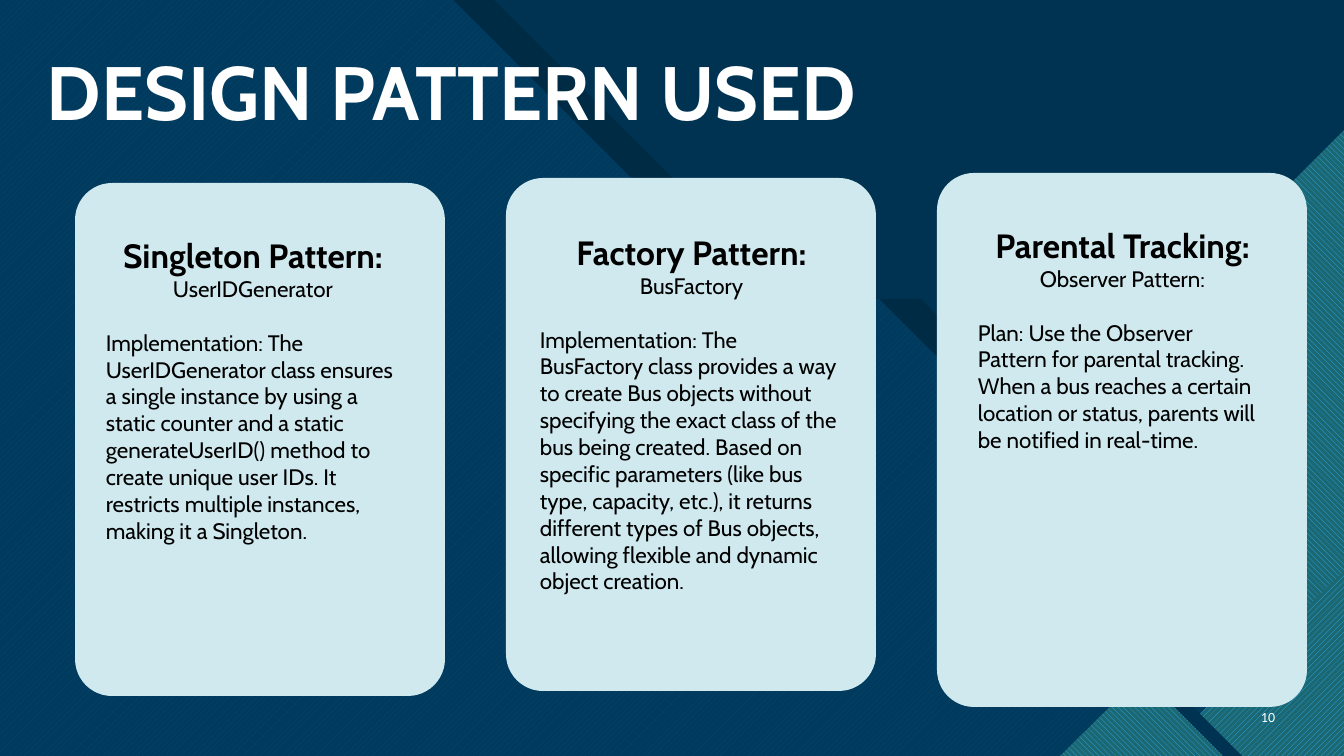
import pptx
import pptx.dml.color
import pptx.enum.dml
import pptx.enum.shapes
import pptx.enum.text
import pptx.util
from dataclasses import dataclass
from lxml import etree

ALIGN = pptx.enum.text.PP_ALIGN
ANCHOR = pptx.enum.text.MSO_ANCHOR
PATTERN = pptx.enum.dml.MSO_PATTERN
WIDTH, HEIGHT = 1344, 756
SCALE = 12192000 / WIDTH  # EMU per px


@dataclass(frozen=True)
class Theme:
    navy: str = "003352"
    blue: str = "0065A4"
    cyan: str = "47C3D3"
    sky: str = "2FAFFF"
    teal: str = "1B6872"
    black: str = "000000"
    white: str = "FFFFFF"
    card: str = "CFE9EF"
    font: str = "Cabin"
    number_font: str = "Calibri"
    title_size: int = 54
    heading_size: int = 24
    body_size: int = 16
    number_size: int = 10


THEME = Theme()

# Backdrop: outline, fill (one colour, or pattern with two colours), opacity in %
BANDS = [
    ([(0, 0), (494, 0), (794, 299), (921, 299), (1344, 723), (1344, 756), (0, 756)],
     THEME.black, 100),
    ([(0, 0), (453, 0), (752, 299), (879, 299), (1336, 756), (0, 756)],
     (PATTERN.WIDE_UPWARD_DIAGONAL, THEME.cyan, THEME.blue), 100),
    ([(0, 0), (701, 0), (1000, 299), (1127, 299), (1344, 517), (1344, 756), (0, 756)],
     THEME.navy, 85),
    ([(1344, 156), (1344, 714), (1230, 714), (1008, 492)], THEME.navy, 100),
    ([(1344, 130), (1344, 743), (1315, 743), (1023, 451)],
     (PATTERN.WIDE_DOWNWARD_DIAGONAL, THEME.sky, THEME.teal), 100),
    ([(1344, 619), (1344, 756), (1207, 756)], THEME.navy, 100),
    ([(1344, 571), (1344, 756), (1158, 756)],
     (PATTERN.WIDE_UPWARD_DIAGONAL, THEME.sky, THEME.teal), 100),
    ([(1242, 756), (1160, 674), (1078, 756)], THEME.navy, 100),
    ([(1060, 756), (1142, 675), (1223, 756)],
     (PATTERN.WIDE_DOWNWARD_DIAGONAL, THEME.sky, THEME.teal), 100),
]

# Cards: card height, text box, heading, class or pattern, explanation
CARDS = [
    (513, (96, 230, 314, 350), "Singleton Pattern:", "UserIDGenerator",
     "Implementation: The UserIDGenerator class ensures a single instance by using a "
     "static counter and a static generateUserID() method to create unique user IDs. "
     "It restricts multiple instances, making it a Singleton."),
    (513, (530, 227, 323, 403), "Factory Pattern:", "BusFactory",
     "Implementation: The BusFactory class provides a way to create Bus objects without "
     "specifying the exact class of the bus being created. Based on specific parameters "
     "(like bus type, capacity, etc.), it returns different types of Bus objects, "
     "allowing flexible and dynamic object creation."),
    (534, (968, 220, 309, 268), "Parental Tracking:", "Observer Pattern:",
     "Plan: Use the Observer Pattern for parental tracking. When a bus reaches a certain "
     "location or status, parents will be notified in real-time."),
]


def px(value):
    return pptx.util.Emu(round(value * SCALE))


def rgb(value):
    return pptx.dml.color.RGBColor.from_string(value)


def set_values(target, values):
    for name, value in values.items():
        setattr(target, name, value)


def paint(shape, fill, opacity=100):
    shape.shadow.inherit = False
    shape.line.fill.background()
    if isinstance(fill, tuple):
        pattern, front, back = fill
        shape.fill.patterned()
        shape.fill.pattern = pattern
        shape.fill.fore_color.rgb = rgb(front)
        shape.fill.back_color.rgb = rgb(back)
        return
    shape.fill.solid()
    shape.fill.fore_color.rgb = rgb(fill)
    if opacity < 100:
        colour = next(shape.element.spPr.iter(pptx.oxml.ns.qn("a:srgbClr")))
        alpha = etree.SubElement(colour, pptx.oxml.ns.qn("a:alpha"))
        alpha.set("val", str(opacity * 1000))


def add_band(page, points, fill, opacity):
    builder = page.shapes.build_freeform(*points[0], scale=SCALE)
    builder.add_line_segments(points[1:], close=True)
    paint(builder.convert_to_shape(), fill, opacity)


def add_card(page, left, top, height):
    card = page.shapes.add_shape(pptx.enum.shapes.MSO_SHAPE.ROUNDED_RECTANGLE,
                                 px(left), px(top), px(370), px(height))
    card.adjustments[0] = 0.1
    paint(card, THEME.card)


def add_text(page, place, paragraphs, anchor=ANCHOR.TOP):
    """Each paragraph is its text, its font values and its paragraph values."""
    box = page.shapes.add_textbox(*map(px, place))
    frame = box.text_frame
    set_values(frame, {"word_wrap": True, "vertical_anchor": anchor})
    for index, (text, font, layout) in enumerate(paragraphs):
        para = frame.add_paragraph() if index else frame.paragraphs[0]
        set_values(para, layout)
        span = para.add_run()
        span.text = text
        font = {"name": THEME.font, "color": THEME.black, **font}
        span.font.color.rgb = rgb(font.pop("color"))
        set_values(span.font, font)


def main():
    deck = pptx.Presentation()
    set_values(deck, {"slide_width": px(WIDTH), "slide_height": px(HEIGHT)})
    page = deck.slides.add_slide(deck.slide_layouts[6])

    # Backdrop
    page.background.fill.solid()
    page.background.fill.fore_color.rgb = rgb(THEME.navy)
    for band in BANDS:
        add_band(page, *band)

    # Title and page number
    title_font = {"size": pptx.util.Pt(THEME.title_size), "bold": True, "color": THEME.white}
    add_text(page, (37, 47, 858, 95),
             [("DESIGN PATTERN USED", title_font, {"line_spacing": 0.9})], ANCHOR.BOTTOM)
    number_font = {"name": THEME.number_font, "size": pptx.util.Pt(THEME.number_size),
                   "color": THEME.white}
    add_text(page, (1241, 697, 44, 40),
             [("10", number_font, {"alignment": ALIGN.RIGHT})], ANCHOR.MIDDLE)

    # Pattern cards, each a little higher than the one before
    heading_font = {"size": pptx.util.Pt(THEME.heading_size), "bold": True}
    body_font = {"size": pptx.util.Pt(THEME.body_size)}
    centred = {"alignment": ALIGN.CENTER}
    for index, (height, place, heading, subject, explanation) in enumerate(CARDS):
        add_card(page, 75 + 431 * index, 183 - 5 * index, height)
        add_text(page, place, [
            (heading, heading_font, centred),
            (subject, body_font, {**centred, "space_after": pptx.util.Pt(19)}),
            (explanation, body_font, {"alignment": ALIGN.LEFT}),
        ])

    deck.save("out.pptx")


if __name__ == "__main__":
    main()
